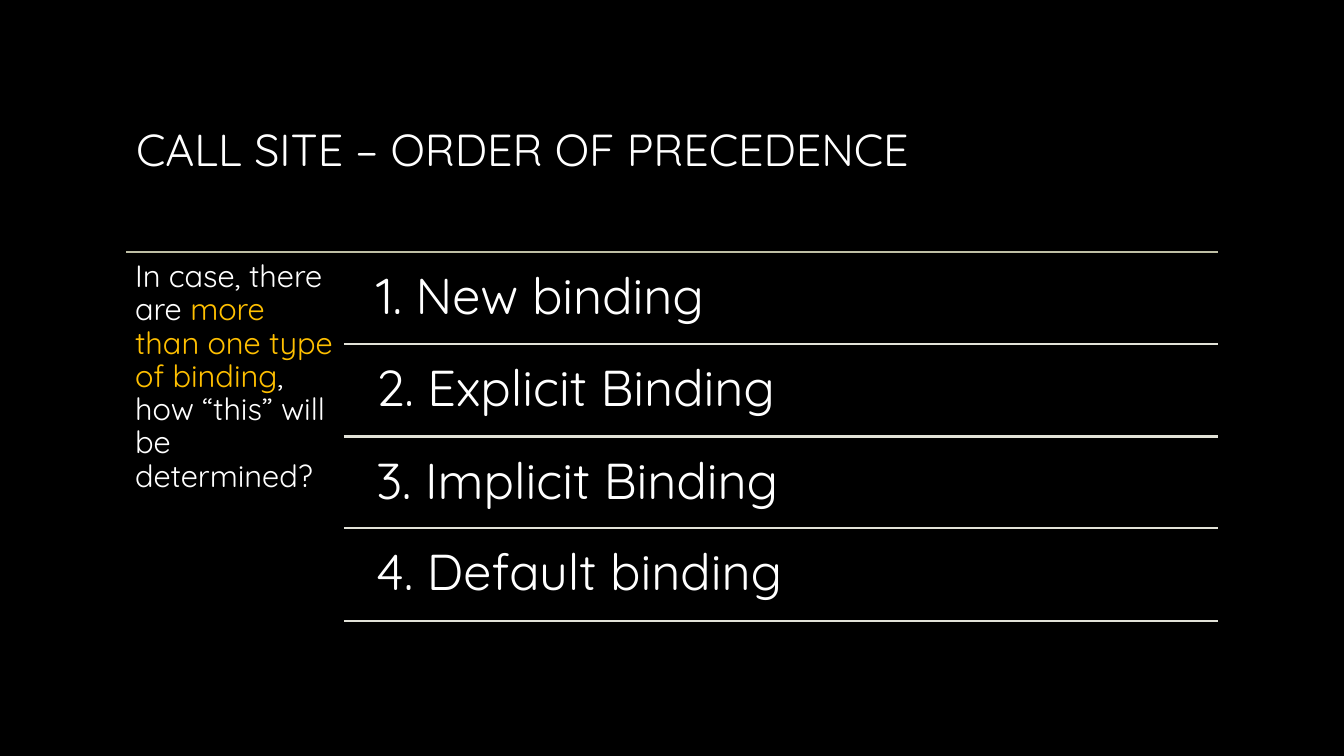
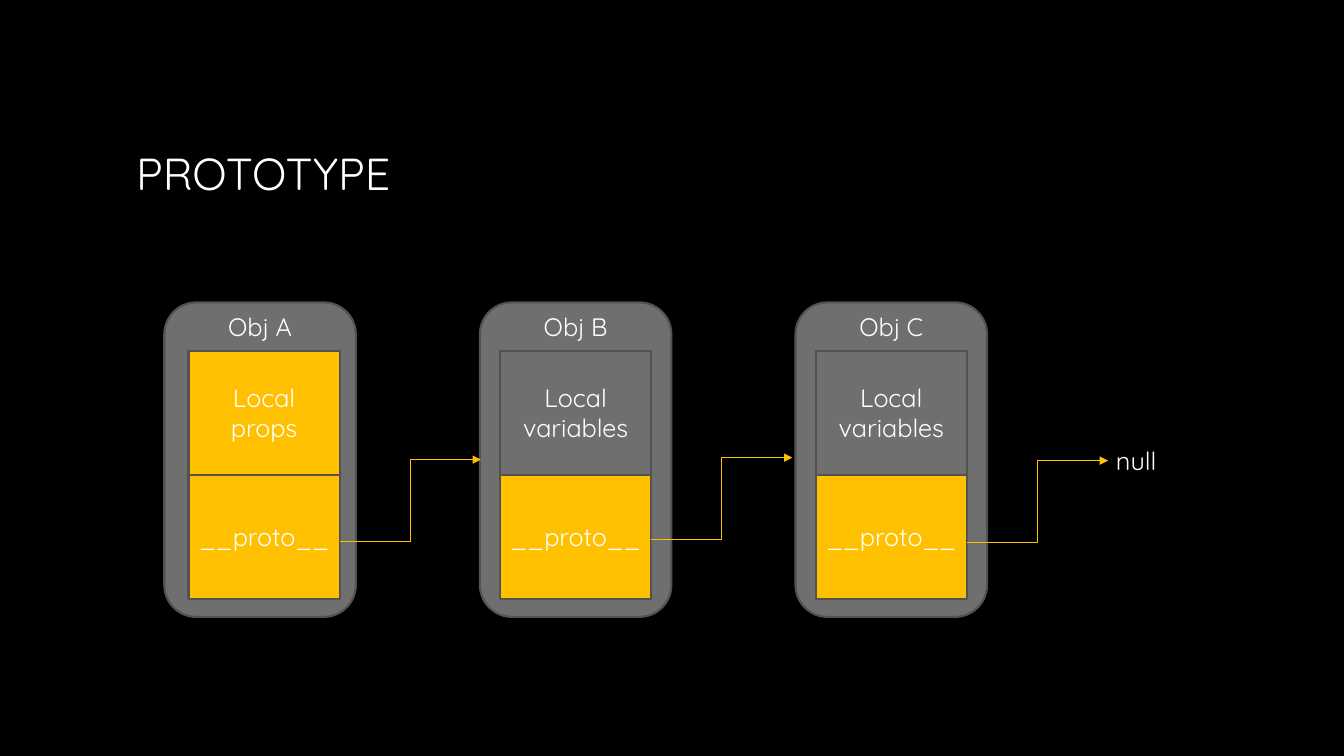
from lxml import etree
from pptx import Presentation
from pptx.dml.color import RGBColor
from pptx.enum.shapes import MSO_CONNECTOR, MSO_SHAPE
from pptx.enum.text import MSO_ANCHOR, MSO_AUTO_SIZE, PP_ALIGN
from pptx.oxml.ns import qn
from pptx.util import Pt

PX = 9144
FONT = "Quicksand"
LEFT, CENTER = PP_ALIGN.LEFT, PP_ALIGN.CENTER
TOP, MIDDLE = MSO_ANCHOR.TOP, MSO_ANCHOR.MIDDLE
RECT, ROUND = MSO_SHAPE.RECTANGLE, MSO_SHAPE.ROUNDED_RECTANGLE
STRAIGHT, ELBOW = MSO_CONNECTOR.STRAIGHT, MSO_CONNECTOR.ELBOW
HEX = {
    "black": "000000", "white": "FFFFFF", "gold": "FFC000", "gray": "6F6F6F",
    "edge": "525252", "rule": "BFBFA5", "pale": "E2E2D8",
}
RGB = {name: RGBColor.from_string(code) for name, code in HEX.items()}


def write(shape, runs, size, align=LEFT, anchor=TOP, inset=(10, 5), space=None):
    frame = shape.text_frame
    frame.auto_size = MSO_AUTO_SIZE.NONE
    frame.word_wrap = True
    frame.vertical_anchor = anchor
    frame.margin_left = frame.margin_right = inset[0] * PX
    frame.margin_top = frame.margin_bottom = inset[1] * PX
    para = frame.paragraphs[0]
    para.alignment = align
    para.line_spacing = space
    para.font.size = Pt(size)
    para.font.name = FONT
    para.font.color.rgb = RGB["white"]
    for text, color in runs:
        run = para.add_run()
        run.text = text
        if color != "white":
            run.font.color.rgb = RGB[color]


def link(slide, kind, ends, color, width):
    line = slide.shapes.add_connector(kind, *[n * PX for n in ends])
    line.line.color.rgb = RGB[color]
    line.line.width = Pt(width)
    if kind == ELBOW:
        stroke = line.line._get_or_add_ln()
        etree.SubElement(stroke, qn("a:tailEnd"), type="triangle")
    etree.SubElement(line._element.spPr, qn("a:effectLst"))


prs = Presentation()
prs.slide_width, prs.slide_height = 1333 * PX, 750 * PX
back = prs.slide_master.background.fill
back.solid()
back.fore_color.rgb = RGB["black"]

slides = []
for text, height in (("CALL SITE – ORDER OF PRECEDENCE", 161), ("PROTOTYPE", 208)):
    slide = prs.slides.add_slide(prs.slide_layouts[5])
    title = slide.shapes.title
    title.left, title.top = 125 * PX, 67 * PX
    title.width, title.height = 1083 * PX, height * PX
    write(title, [(text, "white")], 32, anchor=MIDDLE)
    slides.append(slide)
order, proto = slides

link(order, STRAIGHT, (125, 250, 1208, 250), "rule", 1.5)
aside = order.shapes.add_textbox(125 * PX, 250 * PX, 217 * PX, 370 * PX)
write(aside, [
    ("In case, there are ", "white"),
    ("more than one type of binding", "gold"),
    (", how “this” will be determined?", "white"),
], 22, inset=(9, 9), space=0.9)

rules = ["1. New binding", "2. Explicit Binding", "3. Implicit Binding", "4. Default binding"]
for i, text in enumerate(rules):
    top, end = [250 + 366 * n // 4 for n in (i, i + 1)]
    box = order.shapes.add_textbox(358 * PX, (top + 4) * PX, 850 * PX, 87 * PX)
    write(box, [(text, "white")], 36, inset=(15, 15), space=0.9)
    link(order, STRAIGHT, (341, end, 1208, end), "pale", 1.5)

objects = [
    ("Obj A", 187, "Local props", "gold"),
    ("Obj B", 496, "Local variables", "gray"),
    ("Obj C", 809, "Local variables", "gray"),
]
for i, (name, left, local, color) in enumerate(objects):
    parts = [
        (ROUND, 163 + 313 * i, 300, 190, 312, name, "gray", TOP, 0),
        (RECT, left, 348, 150, 123, local, color, MIDDLE, 5),
        (RECT, left, 471, 150, 123, "__proto__", "gold", MIDDLE, 5),
    ]
    for kind, x, y, w, h, text, fill, anchor, pad in parts:
        box = proto.shapes.add_shape(kind, x * PX, y * PX, w * PX, h * PX)
        box.shadow.inherit = False
        box.fill.solid()
        box.fill.fore_color.rgb = RGB[fill]
        box.line.color.rgb = RGB["edge"]
        box.line.width = Pt(1.5)
        write(box, [(text, "white")], 18, CENTER, anchor, (10, pad))

for x, y in ((337, 537), (646, 535), (959, 538)):
    link(proto, ELBOW, (x, y, x + 140, y - 81), "gold", 0.75)

null = proto.shapes.add_textbox(1097 * PX, 437 * PX, 72 * PX, 40 * PX)
write(null, [("null", "white")], 18)

prs.save("out.pptx")
